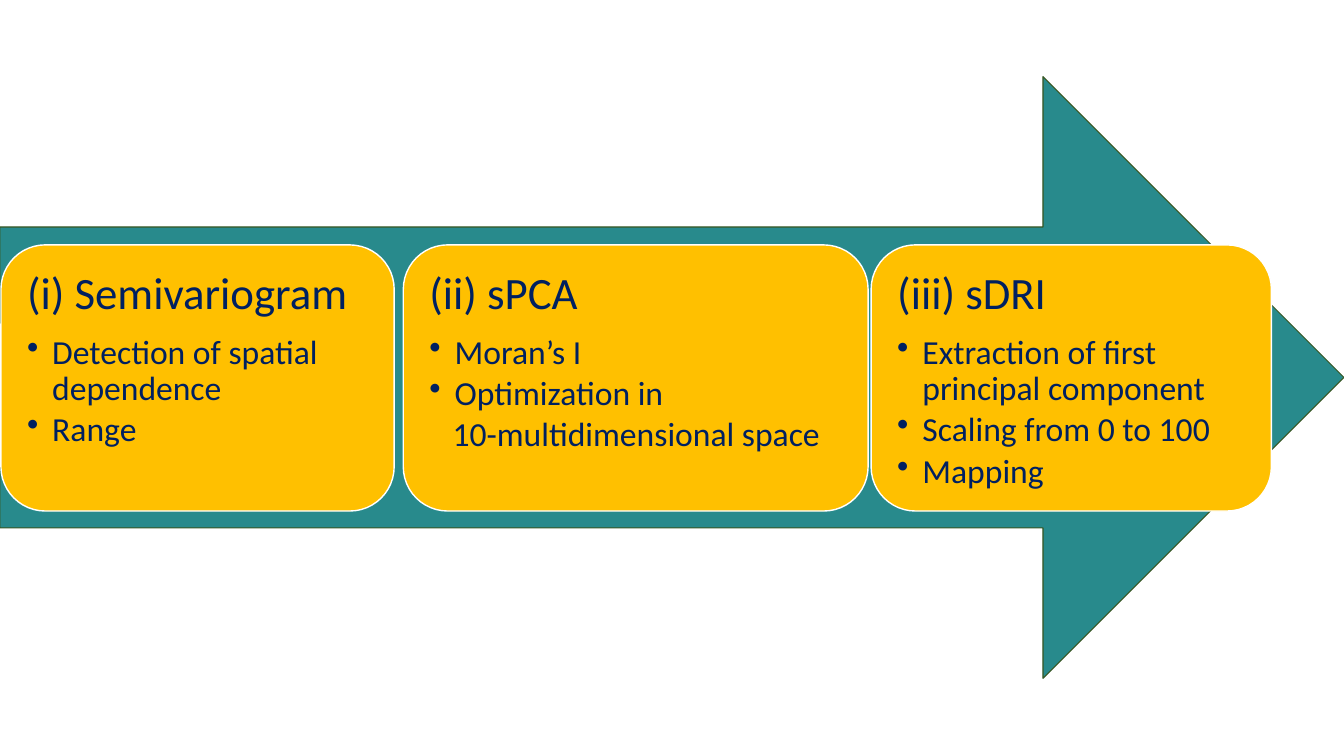
"""Builds a slide with three method steps on a large arrow."""
from pptx import Presentation, dml, util as u
from pptx.dml import color
from pptx.enum import shapes, text
from pptx.oxml import ns
from lxml import etree

COLOURS = {"arrow": "288A8C", "arrow_line": "385723", "card": "FFC000",
           "card_line": "FFFFFF", "text": "002060"}
STEPS = [
    (0.01, 3.9, "(i) Semivariogram",
     [("Detection of spatial dependence", "•"), ("Range", "•")]),
    (4, 4.61, "(ii) sPCA",
     [("Moran’s I", "•"), ("Optimization in", "•"),
      ("10-multidimensional space", None)]),
    (8.64, 3.97, "(iii) sDRI",
     [("Extraction of first principal component", "•"),
      ("Scaling from 0 to 100", "•"), ("Mapping", "•")]),
]


def add_block(kind, left, top, width, height, fill, line, weight):
    block = slide.shapes.add_shape(kind, u.Inches(left), u.Inches(top),
                                   u.Inches(width), u.Inches(height))
    block.shadow.inherit = False
    block.fill.solid()
    block.fill.fore_color.rgb = color.RGBColor.from_string(COLOURS[fill])
    block.line.color.rgb = color.RGBColor.from_string(COLOURS[line])
    block.line.width = u.Pt(weight)
    return block


def write(para, words, size, after, margin=0, bullet=None):
    para.alignment = text.PP_ALIGN.LEFT
    para.line_spacing = 0.9
    para.space_after = u.Pt(size * after)
    span = para.add_run()
    span.text = words
    span.font.name = "Calibri"
    span.font.size = u.Pt(size)
    span.font.color.rgb = color.RGBColor.from_string(COLOURS["text"])
    props = para._p.get_or_add_pPr()
    props.set("marL", str(u.Inches(margin)))
    props.set("indent", str(-u.Inches(margin) if bullet else 0))
    if bullet:
        etree.SubElement(props, ns.qn("a:buChar")).set("char", bullet)


deck = Presentation()
deck.slide_width = u.Inches(13.33)
deck.slide_height = u.Inches(7.5)
slide = deck.slides.add_slide(deck.slide_layouts[6])

add_block(shapes.MSO_SHAPE.RIGHT_ARROW, 0, 0.76, 13.33, 5.97,
          "arrow", "arrow_line", 0.75)

for left, width, title, points in STEPS:
    card = add_block(shapes.MSO_SHAPE.ROUNDED_RECTANGLE, left, 2.43, width, 2.64,
                     "card", "card_line", 1)
    frame = card.text_frame
    frame.word_wrap = True
    frame.vertical_anchor = text.MSO_ANCHOR.TOP
    frame.margin_left = frame.margin_right = u.Inches(0.13)
    frame.margin_top = frame.margin_bottom = u.Inches(0.13)
    write(frame.paragraphs[0], title, size=32, after=0.35)
    for words, bullet in points:
        write(frame.add_paragraph(), words, size=24, after=0.15,
              margin=0.25 if bullet else 0.23, bullet=bullet)

deck.save("out.pptx")
